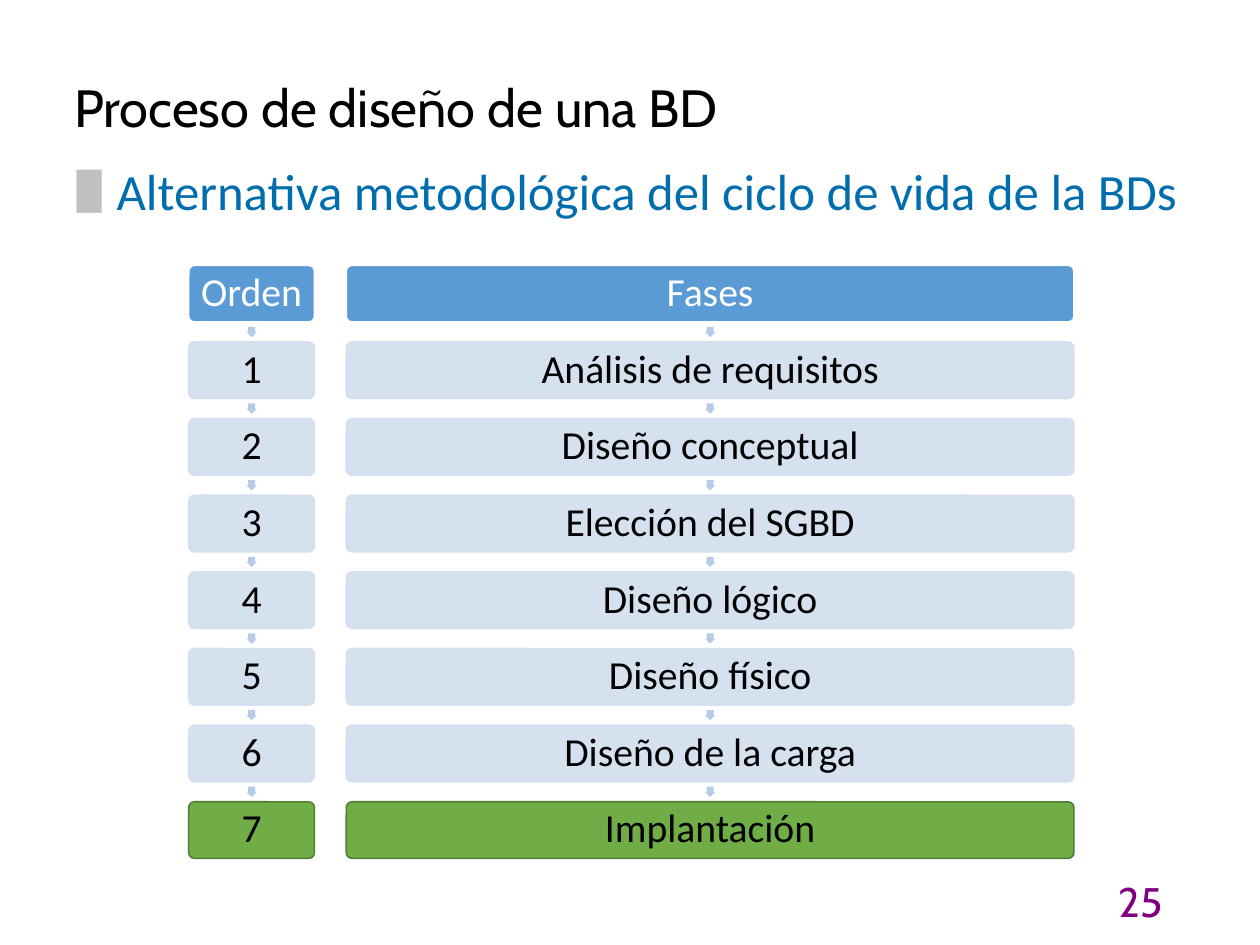
from lxml import etree
from pptx import Presentation
from pptx.dml.color import RGBColor
from pptx.enum import shapes, text
from pptx.oxml import ns
from pptx.util import Pt

PHASES = ["Análisis de requisitos", "Diseño conceptual", "Elección del SGBD",
          "Diseño lógico", "Diseño físico", "Diseño de la carga", "Implantación"]
COLUMNS = [  # left, width, labels from top to bottom
    (118.9, 79.2, ["Orden"] + [str(order) for order in range(1, len(PHASES) + 1)]),
    (218.16, 458.4, ["Fases"] + PHASES),
]
FIRST_TOP, BOX_HEIGHT, PITCH, ARROW_SIZE = 167.2, 35.6, 48.27, 6.5


def color(value):
    return RGBColor.from_string(value)


def write(shape, words, size, font, ink, align=text.PP_ALIGN.LEFT,
          anchor=text.MSO_ANCHOR.MIDDLE, inset=(7.2, 3.6)):
    frame = shape.text_frame
    frame.text = words
    frame.word_wrap = True
    frame.auto_size = text.MSO_AUTO_SIZE.NONE
    frame.vertical_anchor = anchor
    frame.margin_left = frame.margin_right = Pt(inset[0])
    frame.margin_top = frame.margin_bottom = Pt(inset[1])
    para = frame.paragraphs[0]
    para.alignment = align
    for span in para.runs:
        span.font.size = Pt(size)
        span.font.name = font
        span.font.color.rgb = color(ink)
    return para


def add_bullet(para, mark, font, ink, percent, left, hanging):
    properties = para._p.get_or_add_pPr()
    properties.set("marL", str(Pt(left)))
    properties.set("indent", str(-Pt(hanging)))
    bullet_color = etree.SubElement(properties, ns.qn("a:buClr"))
    etree.SubElement(bullet_color, ns.qn("a:srgbClr"), val=ink)
    etree.SubElement(properties, ns.qn("a:buSzPct"), val=str(percent * 1000))
    etree.SubElement(properties, ns.qn("a:buFont"), typeface=font)
    etree.SubElement(properties, ns.qn("a:buChar"), char=mark)


def set_opacity(shape, percent):
    for value in shape._element.spPr.iter(ns.qn("a:srgbClr")):
        etree.SubElement(value, ns.qn("a:alpha"), val=str(percent * 1000))


def add_title(page, words):
    title = page.shapes.title
    title.left, title.top = Pt(39.6), Pt(20.16)
    title.width, title.height = Pt(629.28), Pt(67.5)
    para = write(title, words, 33, "Cabin", "000000",
                 anchor=text.MSO_ANCHOR.BOTTOM, inset=(7.2, 0))
    para.line_spacing = 0.9


def add_text(page, left, top, width, height, words, **style):
    box = page.shapes.add_textbox(Pt(left), Pt(top), Pt(width), Pt(height))
    return write(box, words, **style)


def add_box(page, left, top, width, words, fill, line, ink, opacity=100):
    box = page.shapes.add_shape(shapes.MSO_SHAPE.ROUNDED_RECTANGLE,
                                Pt(left), Pt(top), Pt(width), Pt(BOX_HEIGHT))
    box.adjustments[0] = 0.1
    box.shadow.inherit = False
    box.fill.solid()
    box.fill.fore_color.rgb = color(fill)
    box.line.color.rgb = color(line)
    box.line.width = Pt(1)
    if opacity < 100:
        set_opacity(box, opacity)
    para = write(box, words, 25, "Calibri", ink,
                 align=text.PP_ALIGN.CENTER, inset=(3.6, 3.6))
    para.line_spacing = 0.9


def add_arrow(page, center, middle):
    arrow = page.shapes.add_shape(
        shapes.MSO_SHAPE.RIGHT_ARROW, Pt(center - ARROW_SIZE / 2),
        Pt(middle - ARROW_SIZE / 2), Pt(ARROW_SIZE), Pt(ARROW_SIZE))
    arrow.rotation = 90
    arrow.adjustments[0] = 0.67
    arrow.adjustments[1] = 0.5
    arrow.shadow.inherit = False
    arrow.fill.solid()
    arrow.fill.fore_color.rgb = color("B5CBE7")
    arrow.line.fill.background()


def add_column(page, left, width, labels):
    header = dict(fill="5B9BD5", line="FFFFFF", ink="FFFFFF")
    step = dict(fill="D2DEEF", line="D2DEEF", ink="000000", opacity=90)
    final = dict(fill="70AD47", line="507E32", ink="000000")
    styles = [header] + [step] * (len(labels) - 2) + [final]
    gap = PITCH - BOX_HEIGHT
    for row, (label, style) in enumerate(zip(labels, styles)):
        top = FIRST_TOP + row * PITCH
        if row:
            add_arrow(page, left + width / 2, top - gap / 2)
        add_box(page, left, top, width, label, **style)


def main():
    deck = Presentation()
    deck.slide_width, deck.slide_height = Pt(793.75), Pt(595.25)
    page = deck.slides.add_slide(deck.slide_layouts[5])

    # Title and subtitle
    add_title(page, "Proceso de diseño de una BD")
    subtitle = add_text(page, 39.6, 100.8, 716.4, 452.16,
                        "Alternativa metodológica del ciclo de vida de la BDs",
                        size=32, font="Calibri", ink="006EAE",
                        anchor=text.MSO_ANCHOR.TOP, inset=(0, 0))
    add_bullet(subtitle, "█", "Arial", "C0C0C0", 70, 33.84, 25.2)

    # Order and phase columns
    for left, width, labels in COLUMNS:
        add_column(page, left, width, labels)

    # Page number
    add_text(page, 560.88, 551.52, 178.56, 31.68, "25", size=26, font="Cabin",
             ink="800080", align=text.PP_ALIGN.RIGHT)

    deck.save("out.pptx")


if __name__ == "__main__":
    main()
